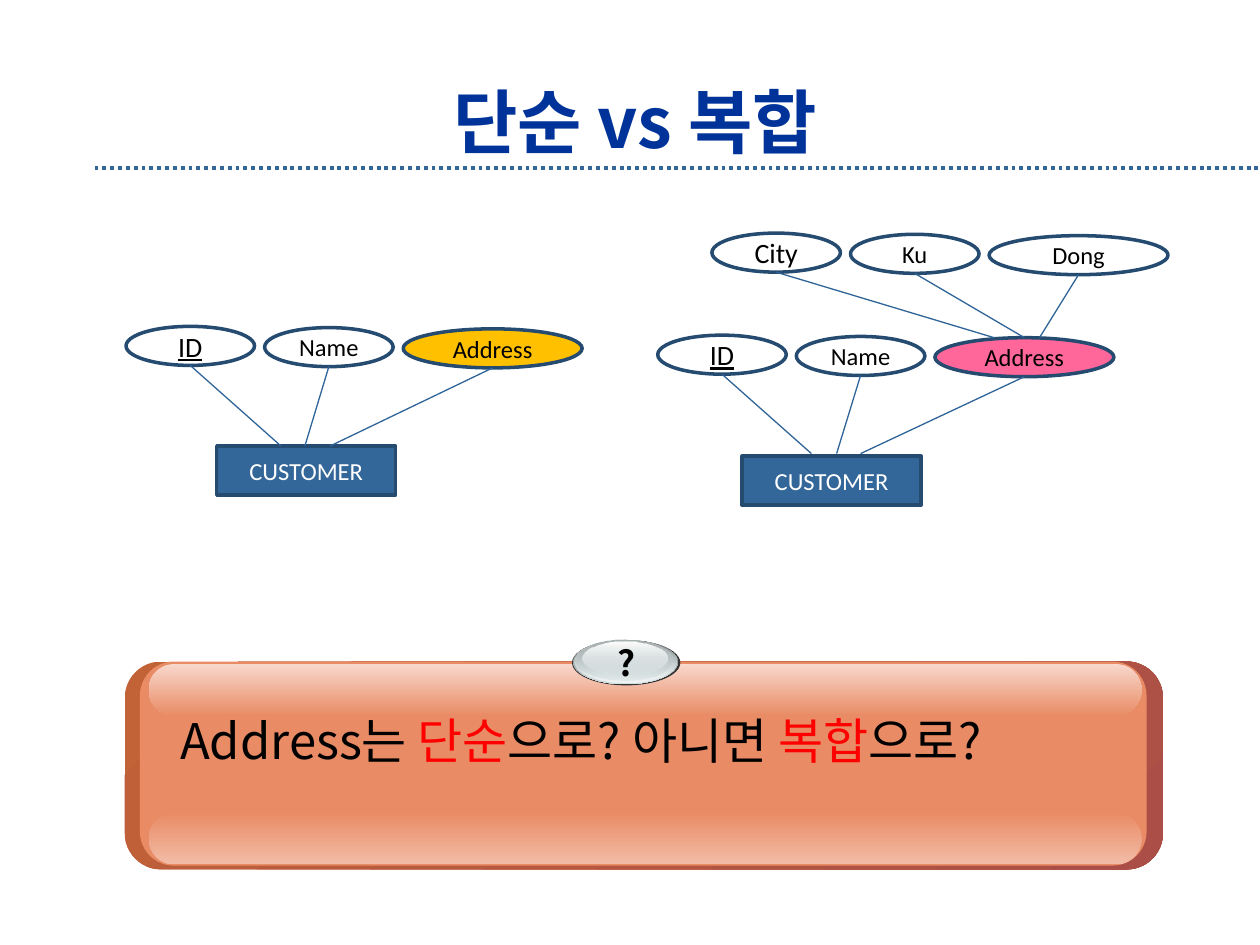
from dataclasses import dataclass

from lxml.etree import SubElement
from pptx import Presentation
from pptx.dml.color import RGBColor
from pptx.enum.dml import MSO_LINE
from pptx.enum.shapes import MSO_CONNECTOR, MSO_SHAPE as Shape
from pptx.enum.text import MSO_ANCHOR as Anchor, PP_ALIGN as Align
from pptx.oxml.ns import qn
from pptx.util import Inches, Pt

BLACK = RGBColor(0x00, 0x00, 0x00)
WHITE = RGBColor(0xFF, 0xFF, 0xFF)
RED = RGBColor(0xFF, 0x00, 0x00)
NAVY = RGBColor(0x00, 0x33, 0x99)
BLUE = RGBColor(0x33, 0x66, 0x99)
EDGE = RGBColor(0x26, 0x4B, 0x71)
LINK = RGBColor(0x2F, 0x64, 0x98)
AMBER = RGBColor(0xFF, 0xC0, 0x00)
PINK = RGBColor(0xFF, 0x66, 0x99)
RUST = RGBColor(0xC1, 0x62, 0x37)
BRICK = RGBColor(0xAB, 0x4E, 0x47)
ORANGE = RGBColor(0xE9, 0x8B, 0x65)
PEACH = RGBColor(0xF2, 0xBC, 0xA6)
CREAM = RGBColor(0xF8, 0xD8, 0xCC)
CHARCOAL = RGBColor(0x33, 0x33, 0x33)
SLATE = RGBColor(0x63, 0x68, 0x69)
SILVER = RGBColor(0xAA, 0xB2, 0xB3)
MIST = RGBColor(0xD6, 0xE1, 0xE2)
FROST = RGBColor(0xF1, 0xF5, 0xF5)

LATIN, KOREAN = "Calibri", "Noto Sans CJK KR"
OVAL_HEIGHT = 0.31


@dataclass
class Attribute:
    label: str
    width: float = 1.02
    fill: RGBColor = WHITE
    size: int = 14
    underline: bool = False


@dataclass
class AttributeRow:
    left: float
    top: float
    attributes: list[Attribute]
    link_ends: list[float]
    link_bottom: float


@dataclass
class Layer:
    """One coat of the banner or badge: one colour, or a gradient of two."""
    kind: Shape
    box: tuple[float, float, float, float]
    colours: list[RGBColor]
    angle: int = 270
    alphas: tuple[int, int] = (100, 100)
    corner: float | None = None


def set_font(paragraph, name: str, size: int, colour=None, bold=None, underline=None) -> None:
    font = paragraph.font
    font.size, font.bold, font.underline = Pt(size), bold, underline
    if colour is not None:
        font.color.rgb = colour
    font.name = name
    properties = paragraph._p.pPr.find(qn("a:defRPr"))
    SubElement(properties, qn("a:ea")).set("typeface", name)


def add_shape(slide, kind: Shape, box):
    shape = slide.shapes.add_shape(kind, *map(Inches, box))
    shape.shadow.inherit = False
    return shape


def add_node(slide, kind: Shape, box, label: str, fill: RGBColor, colour=BLACK,
             size=14, underline=None) -> None:
    node = add_shape(slide, kind, box)
    node.fill.solid()
    node.fill.fore_color.rgb = fill
    node.line.color.rgb = EDGE
    node.line.width = Pt(2)
    frame = node.text_frame
    frame.margin_top = frame.margin_bottom = 0
    frame.vertical_anchor = Anchor.MIDDLE
    frame.text = label
    paragraph = frame.paragraphs[0]
    paragraph.alignment = Align.CENTER
    set_font(paragraph, LATIN, size, colour, underline=underline)


def add_line(slide, x1: float, y1: float, x2: float, y2: float, colour: RGBColor, width: float):
    line = slide.shapes.add_connector(MSO_CONNECTOR.STRAIGHT, *map(Inches, (x1, y1, x2, y2)))
    line.line.color.rgb = colour
    line.line.width = Pt(width)
    SubElement(line._element.spPr, qn("a:effectLst"))
    return line


def add_row(slide, row: AttributeRow) -> None:
    for i, (attribute, end) in enumerate(zip(row.attributes, row.link_ends)):
        left, top = row.left + 1.1 * i, row.top + 0.01 * i
        add_node(slide, Shape.OVAL, (left, top, attribute.width, OVAL_HEIGHT), attribute.label,
                 attribute.fill, size=attribute.size, underline=attribute.underline)
        add_line(slide, left + attribute.width / 2, top + OVAL_HEIGHT,
                 end, row.link_bottom, LINK, 0.75)


def add_layer(slide, layer: Layer) -> None:
    shape = add_shape(slide, layer.kind, layer.box)
    shape.line.fill.background()
    if layer.corner is not None:
        shape.adjustments[0] = layer.corner
    if len(layer.colours) == 1:
        shape.fill.solid()
        shape.fill.fore_color.rgb = layer.colours[0]
        return
    shape.fill.gradient()
    shape.fill.gradient_angle = layer.angle
    for stop, colour in zip(shape.fill.gradient_stops, layer.colours):
        stop.color.rgb = colour
    for node, alpha in zip(shape._element.spPr.iter(qn("a:srgbClr")), layer.alphas):
        if alpha < 100:
            SubElement(node, qn("a:alpha")).set("val", str(alpha * 1000))


def add_text(slide, box, parts, size: int, bold=None, align=Align.LEFT, anchor=Anchor.TOP,
             wrap=True):
    frame = slide.shapes.add_textbox(*map(Inches, box)).text_frame
    frame.word_wrap = wrap
    frame.vertical_anchor = anchor
    paragraph = frame.paragraphs[0]
    paragraph.alignment = align
    for text, colour in parts:
        run = paragraph.add_run()
        run.text = text
        run.font.color.rgb = colour
    set_font(paragraph, KOREAN, size, bold=bold)
    return frame


def customer_attributes(address_fill: RGBColor) -> list[Attribute]:
    return [Attribute("ID", size=16, underline=True), Attribute("Name"),
            Attribute("Address", 1.42, address_fill)]


ROWS = [
    AttributeRow(1, 2.59, customer_attributes(AMBER), [2.23, 2.42, 2.62], 3.54),
    AttributeRow(5.22, 2.66, customer_attributes(PINK), [6.44, 6.64, 6.83], 3.6),
    AttributeRow(5.65, 1.85, [Attribute("City", size=16), Attribute("Ku"),
                              Attribute("Dong", 1.42)], [7.89, 8.13, 8.25], 2.68),
]
ROUND, OVAL = Shape.ROUNDED_RECTANGLE, Shape.OVAL
BANNER = [
    Layer(ROUND, (0.99, 5.25, 8.24, 1.65), [RUST, BRICK], angle=315, corner=0.175),
    Layer(ROUND, (1.11, 5.25, 7.99, 1.62), [ORANGE], corner=0.167),
    Layer(ROUND, (1.18, 6.45, 7.88, 0.41), [ORANGE, PEACH], corner=0.5),
    Layer(ROUND, (1.18, 5.27, 7.88, 0.41), [CREAM, ORANGE], corner=0.5),
]
BADGE = [
    Layer(OVAL, (4.54, 5.08, 0.86, 0.36), [CHARCOAL]),
    Layer(OVAL, (4.55, 5.08, 0.83, 0.35), [SLATE, MIST]),
    Layer(OVAL, (4.56, 5.08, 0.81, 0.34), [MIST, FROST], alphas=(0, 100)),
    Layer(OVAL, (4.57, 5.08, 0.77, 0.32), [SILVER, MIST], alphas=(100, 48)),
    Layer(OVAL, (4.62, 5.09, 0.68, 0.26), [WHITE, MIST], alphas=(100, 38)),
]
QUESTION = [("Address는 ", BLACK), ("단순", RED), ("으로? 아니면 ", BLACK),
            ("복합", RED), ("으로?", BLACK)]


def main() -> None:
    deck = Presentation()
    deck.slide_width, deck.slide_height = Inches(10), Inches(7.5)
    slide = deck.slides.add_slide(deck.slide_layouts[6])

    # Title and rule
    rule = add_line(slide, 0.75, 1.33, 10, 1.33, BLUE, 2.25)
    rule.line.dash_style = MSO_LINE.ROUND_DOT
    add_text(slide, (0.75, 0.67, 8.58, 0.58), [("단순 vs 복합", NAVY)], 40, bold=True,
             align=Align.CENTER, anchor=Anchor.MIDDLE)

    # Simple and composite address diagrams
    for left, top in ((1.72, 3.54), (5.89, 3.62)):
        add_node(slide, Shape.RECTANGLE, (left, top, 1.42, 0.39), "CUSTOMER", BLUE, WHITE)
    for row in ROWS:
        add_row(slide, row)

    # Question banner
    for layer in BANNER:
        add_layer(slide, layer)
    question = add_text(slide, (0.98, 5.59, 7.88, 0.57), QUESTION, 28)
    question.margin_left = Inches(0.45)

    # Question mark badge
    for layer in BADGE:
        add_layer(slide, layer)
    add_text(slide, (4.8, 5.04, 0.36, 0.44), [("?", BLACK)], 20, bold=True, wrap=False)

    deck.save("out.pptx")


if __name__ == "__main__":
    main()
